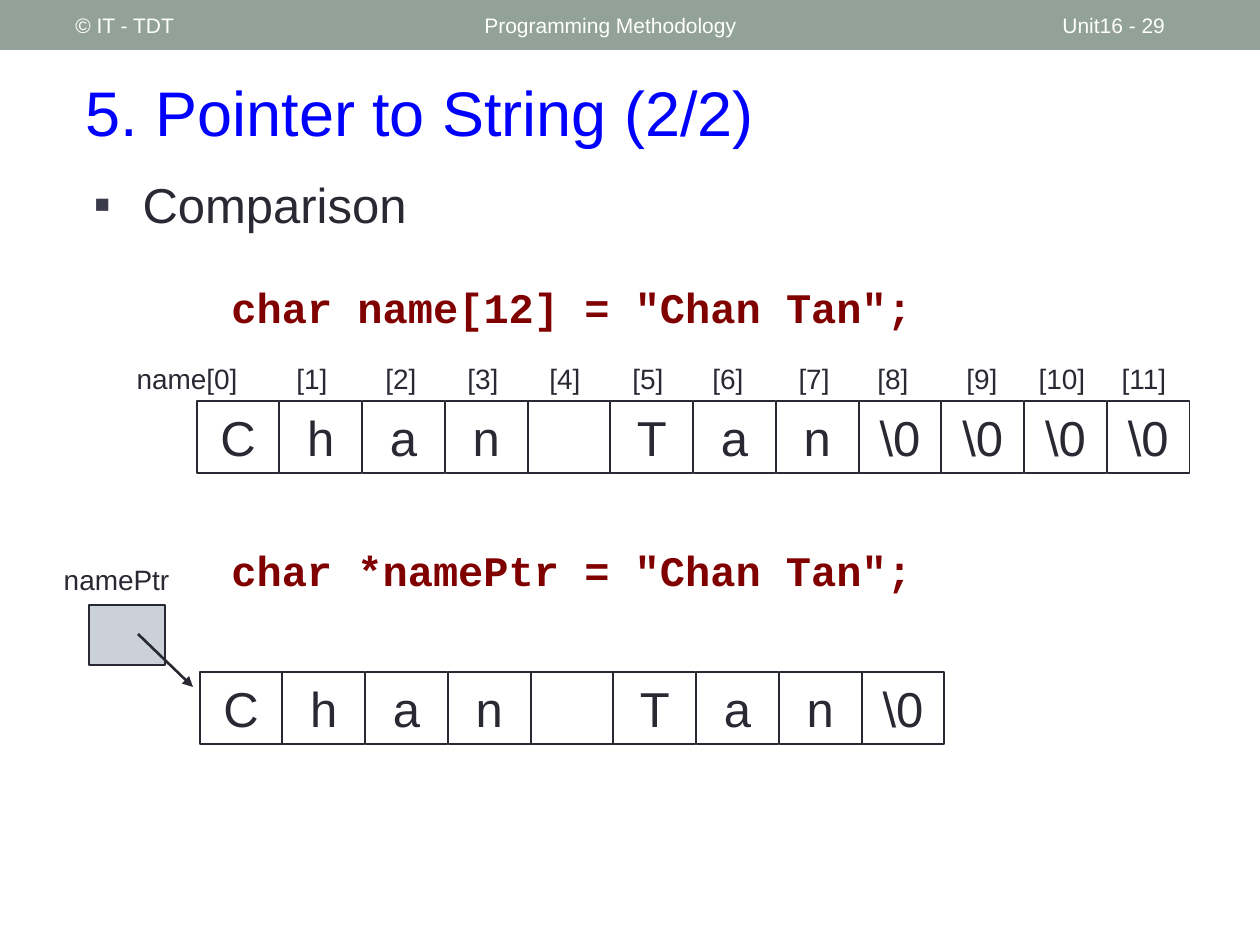
"""Build the slide comparing a character array with a pointer to a string."""
from lxml.etree import SubElement
from pptx import Presentation
from pptx.dml.color import RGBColor
from pptx.enum.shapes import MSO_CONNECTOR, MSO_SHAPE
from pptx.enum.text import MSO_ANCHOR, MSO_AUTO_SIZE, PP_ALIGN
from pptx.oxml.ns import qn
from pptx.util import Pt

COLORS = {"banner": "93A299", "title": "0000FF", "ink": "292934", "code": "800000",
          "bullet": "3A3A4A", "pointer": "CBD1D8", "white": "FFFFFF"}
PIXEL = 914400 / 126

TITLE = "5. Pointer to String (2/2)"
BULLET = "Comparison"
HEADERS = [("Programming Methodology", 472, 567), ("Unit16 - 29", 1050, 147),
           ("© IT - TDT", 63, 399)]
CODE_LINES = [('char name[12] = "Chan Tan";', 275, 762),
              ('char *namePtr = "Chan Tan";', 538, 791)]
LETTERS = ["C", "h", "a", "n", "", "T", "a", "n", "\\0"]
CELL_ROWS = [(LETTERS, 200, 672), (LETTERS + ["\\0"] * 3, 197, 401)]
CELL_PITCH, CELL_WIDTH, CELL_HEIGHT = 82.75, 82, 72
INDEX_CENTERS = [187, 312, 401, 483, 565, 648, 728, 814, 893, 982, 1062, 1144]


def scale(*lengths):
    return [round(length * PIXEL) for length in lengths]


def color(name):
    return RGBColor.from_string(COLORS[name])


def write(shape, text, size, ink="ink", font="Arial", bold=False,
          align=PP_ALIGN.LEFT, anchor=MSO_ANCHOR.TOP, wrap=True):
    frame = shape.text_frame
    frame.word_wrap = wrap
    frame.auto_size = MSO_AUTO_SIZE.NONE
    frame.vertical_anchor = anchor
    paragraph = frame.paragraphs[0]
    paragraph.alignment = align
    paragraph.space_before = Pt(0)
    run = paragraph.add_run()
    run.text = text
    run.font.size = Pt(size)
    run.font.name = font
    run.font.bold = bold
    run.font.color.rgb = color(ink)
    return paragraph


def add_box(box, fill=None, line=None, width=0.75):
    shape = slide.shapes.add_shape(MSO_SHAPE.RECTANGLE, *scale(*box))
    shape.shadow.inherit = False
    if fill:
        shape.fill.solid()
        shape.fill.fore_color.rgb = color(fill)
    else:
        shape.fill.background()
    if line:
        shape.line.color.rgb = color(line)
        shape.line.width = Pt(width)
    else:
        shape.line.fill.background()
    return shape


def add_text(box, text, size, **style):
    write(slide.shapes.add_textbox(*scale(*box)), text, size, **style)


def place(shape, box):
    shape.left, shape.top, shape.width, shape.height = scale(*box)


def add_bullet(paragraph, character, ink, indent):
    properties = paragraph._p.get_or_add_pPr()
    properties.set("marL", str(indent))
    properties.set("indent", str(-indent))
    bullet_color = SubElement(properties, qn("a:buClr"))
    SubElement(bullet_color, qn("a:srgbClr")).set("val", COLORS[ink])
    SubElement(properties, qn("a:buFont")).set("typeface", "Arial")
    SubElement(properties, qn("a:buChar")).set("char", character)


def add_arrow(start, end):
    arrow = slide.shapes.add_connector(MSO_CONNECTOR.STRAIGHT, *scale(*start, *end))
    arrow.line.color.rgb = color("ink")
    arrow.line.width = Pt(1.5)
    SubElement(arrow.line._get_or_add_ln(), qn("a:tailEnd")).set("type", "triangle")
    SubElement(arrow._element.spPr, qn("a:effectLst"))


presentation = Presentation()
presentation.slide_width, presentation.slide_height = scale(1260, 945)
slide = presentation.slides.add_slide(presentation.slide_layouts[1])

title, body = slide.placeholders
place(title, (73, 53, 1155, 116))
write(title, TITLE, 36, ink="title", anchor=MSO_ANCHOR.MIDDLE)
place(body, (81, 168, 1134, 71))
add_bullet(write(body, BULLET, 28), "▪", "bullet", scale(49)[0])

add_box((0, 0, 1260, 50), fill="banner")
for text, left, width in HEADERS:
    add_text((left, 3, width, 45), text, 12, ink="white", anchor=MSO_ANCHOR.MIDDLE)

for text, top, width in CODE_LINES:
    write(add_box((219, top, width, 63), fill="white"), text, 24, ink="code",
          font="Courier New", bold=True, wrap=False)

add_text((44, 556, 145, 47), "namePtr", 16, align=PP_ALIGN.CENTER)
add_box((89, 605, 76, 60), fill="pointer", line="ink", width=1)
add_arrow((138, 634), (193, 687))

for letters, left, top in CELL_ROWS:
    for position, letter in enumerate(letters):
        cell = add_box((left + position * CELL_PITCH, top, CELL_WIDTH, CELL_HEIGHT),
                       line="ink")
        if letter:
            write(cell, letter, 28, align=PP_ALIGN.CENTER)

for index, center in enumerate(INDEX_CENTERS):
    label = f"[{index}]" if index else "name[0]"
    width = {3: 56, 4: 78, 7: 130}[len(label)]
    add_text((center - width // 2, 355, width, 47), label, 16,
             align=PP_ALIGN.CENTER, wrap=False)

presentation.save("out.pptx")
